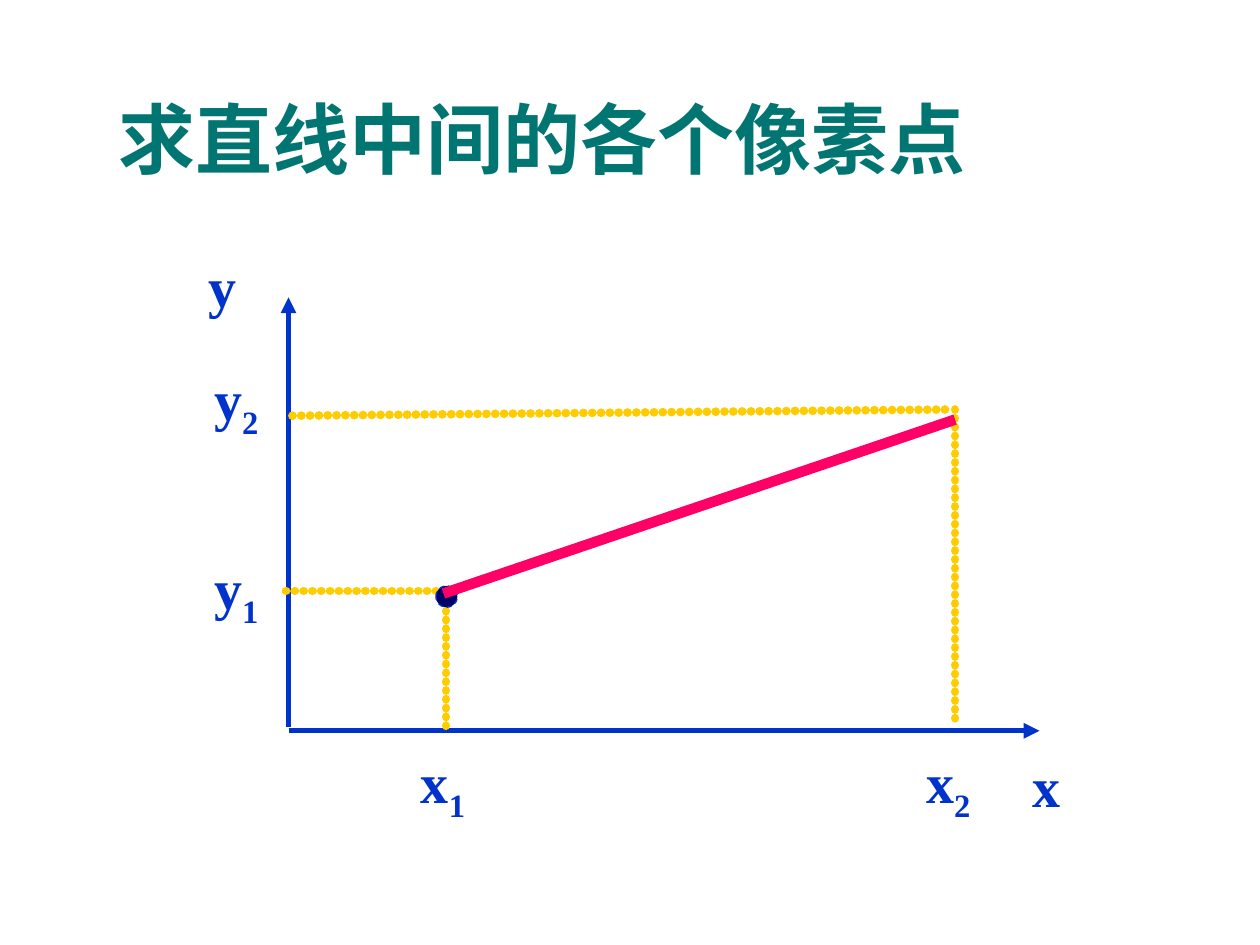
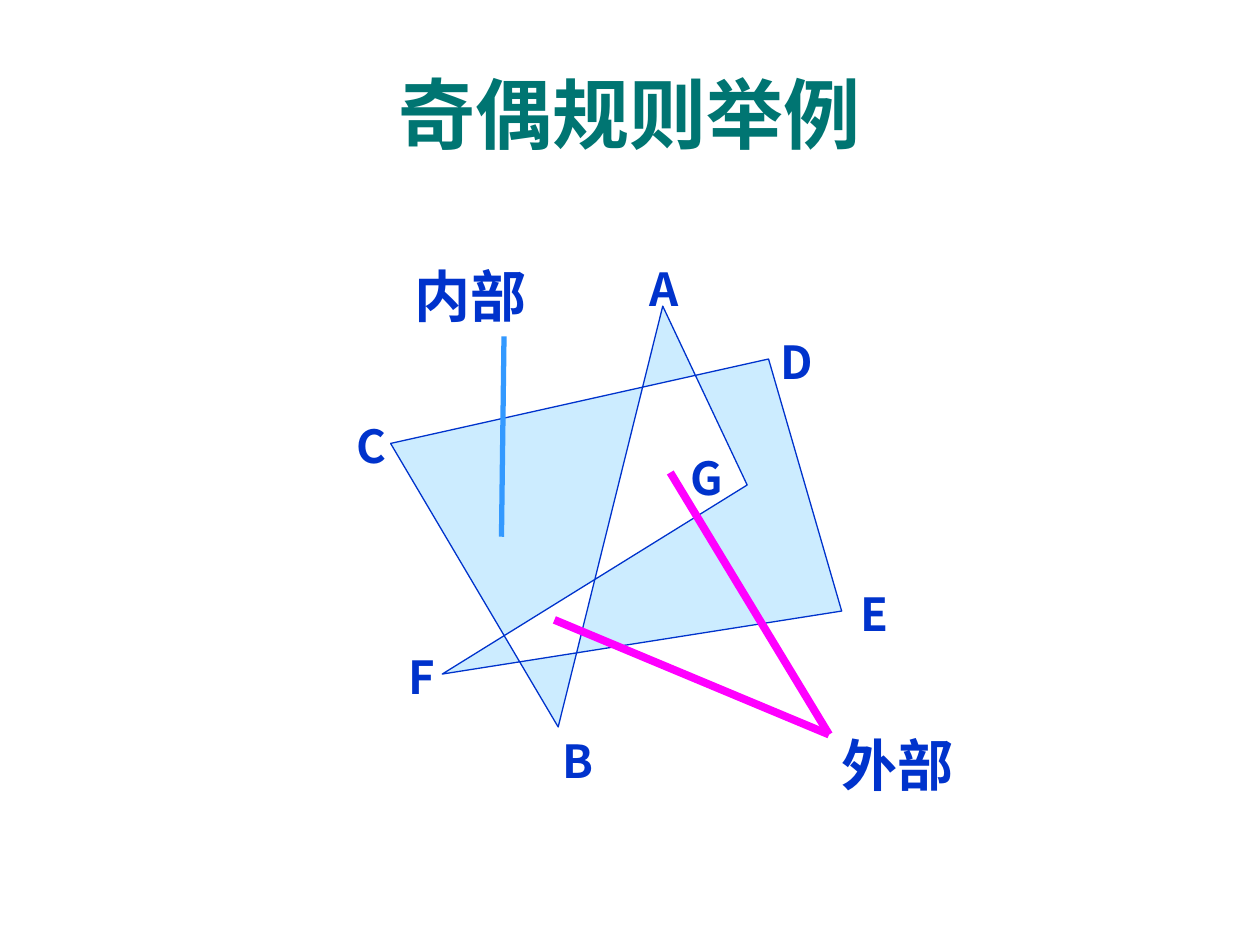
from dataclasses import dataclass

from lxml import etree
from pptx import Presentation
from pptx.dml.color import RGBColor
from pptx.enum.dml import MSO_LINE
from pptx.enum.shapes import MSO_CONNECTOR, MSO_SHAPE
from pptx.enum.text import MSO_ANCHOR, MSO_AUTO_SIZE, PP_ALIGN
from pptx.oxml.ns import qn
from pptx.util import Inches, Pt

STRAIGHT = MSO_CONNECTOR.STRAIGHT
OVAL = MSO_SHAPE.OVAL
DASH = MSO_LINE.DASH
TOP, MIDDLE, BOTTOM = MSO_ANCHOR.TOP, MSO_ANCHOR.MIDDLE, MSO_ANCHOR.BOTTOM
LEFT, CENTER = PP_ALIGN.LEFT, PP_ALIGN.CENTER
GROW = MSO_AUTO_SIZE.SHAPE_TO_FIT_TEXT

BLUE, TEAL, YELLOW, NAVY = "0033CC", "007572", "FFCC00", "000066"
PINK, MAGENTA, SKY, PALE = "FF0066", "FF00FF", "3399FF", "CCECFF"
CJK_FONT = "Noto Sans CJK SC"


@dataclass(frozen=True)
class TextStyle:
    font: str
    size: float
    color: str = BLUE
    align: PP_ALIGN = LEFT
    anchor: MSO_ANCHOR = TOP
    inset: tuple[float, float] = (0.1, 0.05)
    wrap: bool = False
    spacing: float = 1.0


@dataclass(frozen=True)
class Label:
    text: str
    left: float
    top: float
    width: float
    height: float
    sub: str = ""


@dataclass(frozen=True)
class Line:
    start: tuple[float, float]
    end: tuple[float, float]
    color: str
    width: float
    arrow: bool = False
    dotted: bool = False


LEFT_TITLE = TextStyle("Arial", 44, TEAL, anchor=BOTTOM, wrap=True)
CENTER_TITLE = TextStyle("Arial", 44, TEAL, CENTER, MIDDLE, wrap=True, spacing=1.2)
AXIS_STYLE = TextStyle("Times New Roman", 32, align=CENTER, anchor=MIDDLE, inset=(0, 0))
REGION_STYLE = TextStyle("Cabin", 32)
VERTEX_STYLE = TextStyle(CJK_FONT, 26)

AXIS_LABELS = [
    Label("x", 3.32, 5.93, 0.39, 0.61, "1"),
    Label("x", 7.33, 5.93, 0.39, 0.61, "2"),
    Label("y", 1.68, 4.39, 0.39, 0.61, "1"),
    Label("y", 1.68, 2.89, 0.39, 0.61, "2"),
    Label("x", 8.19, 5.97, 0.23, 0.53),
    Label("y", 1.65, 2, 0.23, 0.53),
]
AXES = [
    Line((2.29, 5.77), (2.29, 2.36), BLUE, 3, arrow=True),
    Line((2.29, 5.8), (8.25, 5.8), BLUE, 3, arrow=True),
]
GUIDES = [
    Line(start, end, YELLOW, 5, dotted=True)
    for start, end in [
        ((3.54, 4.71), (3.54, 5.8)),
        ((7.58, 3.25), (7.58, 5.71)),
        ((2.27, 4.69), (3.52, 4.69)),
        ((7.5, 3.25), (2.27, 3.3)),
    ]
]
SEGMENT = Line((3.52, 4.71), (7.58, 3.33), PINK, 6)

POLYGON = [(5.26, 2.43), (4.43, 5.77), (3.1, 3.52), (6.1, 2.85),
           (6.68, 4.85), (3.51, 5.35), (5.93, 3.85)]
VERTEX_LABELS = [
    Label(text, left, top, width, 0.54)
    for text, left, top, width in [
        ("A", 5.06, 2.02, 0.45), ("B", 4.37, 5.77, 0.44), ("D", 6.1, 2.6, 0.47),
        ("C", 2.73, 3.27, 0.43), ("F", 3.14, 5.1, 0.4), ("E", 6.73, 4.6, 0.4),
        ("G", 5.38, 3.52, 0.46),
    ]
]
REGION_LABELS = [Label("外部", 6.58, 5.75, 1.09, 0.64),
                 Label("内部", 3.19, 2.03, 1.09, 0.64)]
OUTSIDE = (6.58, 5.83)
POINTERS = [
    Line((3.98, 4.26), (4, 2.67), SKY, 3),
    Line((5.32, 3.75), OUTSIDE, MAGENTA, 4.5),
    Line((4.4, 4.92), OUTSIDE, MAGENTA, 4.5),
]


def rgb(color: str) -> RGBColor:
    return RGBColor.from_string(color)


def add_run(p, text: str, style: TextStyle):
    r = p.add_run()
    r.text = text
    r.font.name = style.font
    r.font.size = Pt(style.size)
    r.font.bold = True
    r.font.color.rgb = rgb(style.color)
    etree.SubElement(r.font._element, qn("a:ea")).set("typeface", CJK_FONT)
    return r


def add_label(s, label: Label, style: TextStyle) -> None:
    box = s.shapes.add_textbox(Inches(label.left), Inches(label.top),
                               Inches(label.width), Inches(label.height))
    tf = box.text_frame
    tf.word_wrap = style.wrap
    tf.auto_size = GROW
    tf.vertical_anchor = style.anchor
    tf.margin_left = tf.margin_right = Inches(style.inset[0])
    tf.margin_top = tf.margin_bottom = Inches(style.inset[1])
    p = tf.paragraphs[0]
    p.alignment = style.align
    p.line_spacing = style.spacing
    add_run(p, label.text, style)
    if label.sub:
        add_run(p, label.sub, style).font._element.set("baseline", "-25000")


def add_line(s, line: Line) -> None:
    c = s.shapes.add_connector(STRAIGHT, *map(Inches, line.start + line.end))
    c.line.color.rgb = rgb(line.color)
    c.line.width = Pt(line.width)
    ln = c.line._get_or_add_ln()
    if line.dotted:
        ln.set("cap", "rnd")
        dash = etree.SubElement(ln, qn("a:custDash"))
        etree.SubElement(dash, qn("a:ds"), d="1000", sp="100000")
    if line.arrow:
        etree.SubElement(ln, qn("a:tailEnd"), type="triangle")
    etree.SubElement(c._element.spPr, qn("a:effectLst"))


def paint(sp, fill: str) -> None:
    """Give a shape its fill and the thin blue outline."""
    sp.shadow.inherit = False
    sp.fill.solid()
    sp.fill.fore_color.rgb = rgb(fill)
    sp.line.color.rgb = rgb(BLUE)
    sp.line.width = Pt(0.75)


def build_line_slide(s) -> None:
    for line in AXES + GUIDES:
        add_line(s, line)
    for label in AXIS_LABELS:
        add_label(s, label, AXIS_STYLE)
    dot = s.shapes.add_shape(OVAL, Inches(3.46), Inches(4.65), Inches(0.17), Inches(0.17))
    paint(dot, NAVY)
    dot.line.dash_style = DASH
    add_line(s, SEGMENT)
    add_label(s, Label("求直线中间的各个像素点", 0.84, 0.68, 8.52, 0.83), LEFT_TITLE)


def build_parity_slide(s) -> None:
    add_label(s, Label("奇偶规则举例", 0.33, 0.33, 9.33, 0.98), CENTER_TITLE)
    for label in REGION_LABELS:
        add_label(s, label, REGION_STYLE)
    points = [(Inches(x), Inches(y)) for x, y in POLYGON]
    outline = s.shapes.build_freeform(*points[0])
    outline.add_line_segments(points[1:], close=True)
    paint(outline.convert_to_shape(), PALE)
    for label in VERTEX_LABELS:
        add_label(s, label, VERTEX_STYLE)
    for line in POINTERS:
        add_line(s, line)


def main() -> None:
    prs = Presentation()
    prs.slide_width, prs.slide_height = Inches(10), Inches(7.5)
    for build in (build_line_slide, build_parity_slide):
        build(prs.slides.add_slide(prs.slide_layouts[6]))
    prs.save("out.pptx")


if __name__ == "__main__":
    main()
